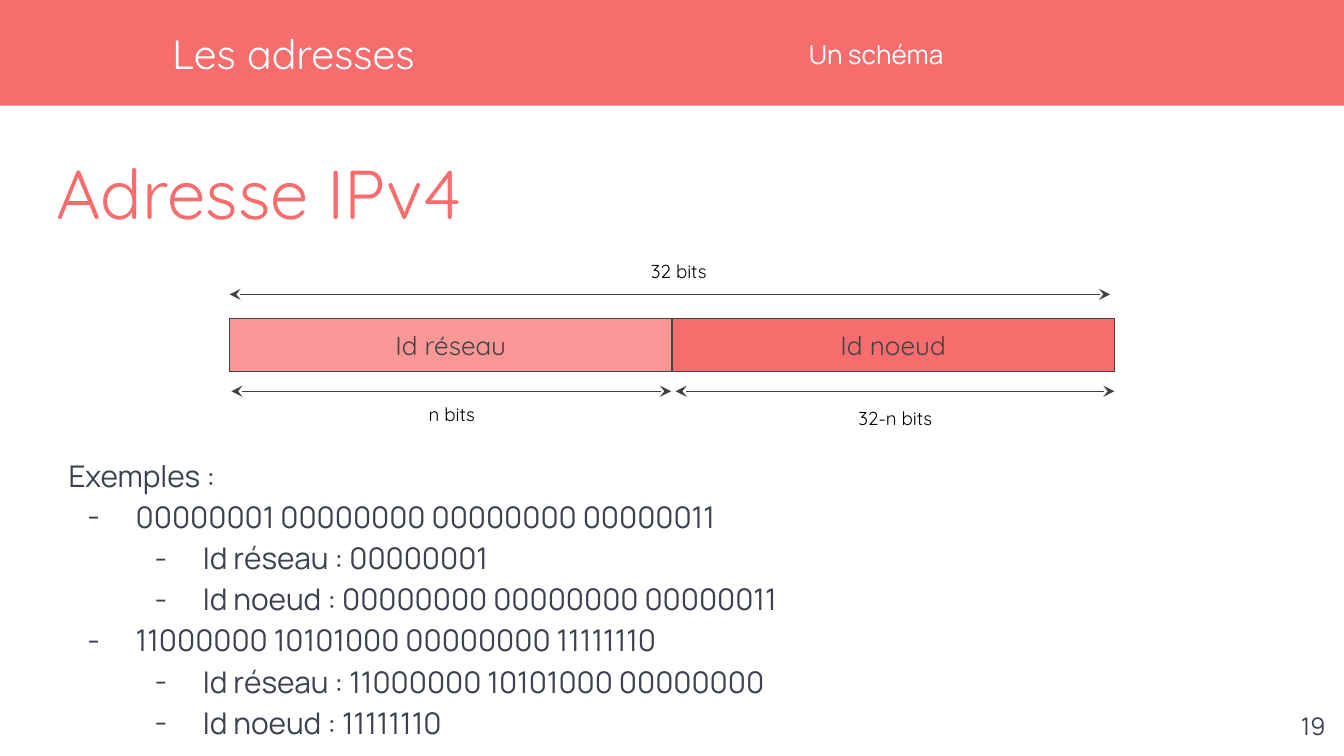
from dataclasses import dataclass

from lxml.etree import SubElement
from pptx import Presentation
from pptx.dml.color import RGBColor
from pptx.enum.shapes import MSO_CONNECTOR, MSO_SHAPE
from pptx.enum.text import MSO_ANCHOR, PP_ALIGN
from pptx.oxml.ns import qn
from pptx.slide import Slide
from pptx.text.text import TextFrame, _Paragraph
from pptx.util import Pt

COLORS = {
    "coral": "F76C6C",
    "light_coral": "F99797",
    "outline": "424242",
    "body": "3B424E",
    "white": "FFFFFF",
    "black": "000000",
}
HEADING_FONT = "Quicksand"
BODY_FONT = "Manrope"
PADDING = 7.2
INDENT_STEP = 36
HANGING = 25.9


@dataclass(frozen=True)
class Box:
    left: float
    top: float
    width: float
    height: float

    def lengths(self) -> tuple:
        return Pt(self.left), Pt(self.top), Pt(self.width), Pt(self.height)


@dataclass(frozen=True)
class Style:
    size: float
    font: str
    color: str
    align: PP_ALIGN = PP_ALIGN.LEFT
    anchor: MSO_ANCHOR = MSO_ANCHOR.TOP
    inset: float = 0


@dataclass(frozen=True)
class Label:
    text: str
    box: Box
    style: Style


@dataclass(frozen=True)
class Field:
    text: str
    box: Box
    fill: str


@dataclass(frozen=True)
class Span:
    start: float
    end: float
    y: float


@dataclass(frozen=True)
class Example:
    text: str
    depth: int


CAPTION = Style(10, HEADING_FONT, "black", PP_ALIGN.CENTER, inset=PADDING)
FIELD = Style(14, HEADING_FONT, "outline", PP_ALIGN.CENTER, MSO_ANCHOR.MIDDLE, PADDING)
EXAMPLE = Style(16, BODY_FONT, "body", anchor=MSO_ANCHOR.MIDDLE)

FIELD_LEFT, FIELD_TOP, FIELD_WIDTH, FIELD_HEIGHT = 123, 170.7, 237, 28.4
CAPTION_WIDTH, CAPTION_HEIGHT = 134, 26.6

FIELDS = [
    Field(text, Box(FIELD_LEFT + order * FIELD_WIDTH, FIELD_TOP, FIELD_WIDTH, FIELD_HEIGHT), fill)
    for order, (text, fill) in enumerate(
        [("Id réseau", "light_coral"), ("Id noeud", "coral")]
    )
]

SPANS = [
    Span(123, 594.7, 157.7),
    Span(124, 359.5, 209.6),
    Span(362, 597, 209.6),
]

LABELS = [
    Label("Un schéma", Box(433.3, 15.2, 276.5, 28),
          Style(14, BODY_FONT, "white", anchor=MSO_ANCHOR.MIDDLE)),
    Label("Adresse IPv4", Box(30.2, 80.7, 666.7, 41.8), Style(37, HEADING_FONT, "coral")),
    Label("19", Box(673.9, 373.7, 43.2, 31),
          Style(13, BODY_FONT, "body", PP_ALIGN.RIGHT, inset=PADDING)),
    Label("32 bits", Box(296.6, 133.2, CAPTION_WIDTH, CAPTION_HEIGHT), CAPTION),
    Label("n bits", Box(175, 209.6, CAPTION_WIDTH, CAPTION_HEIGHT), CAPTION),
    Label("32-n bits", Box(412.6, 211.7, CAPTION_WIDTH, CAPTION_HEIGHT), CAPTION),
    Label("Les adresses", Box(92.2, 0, 337.7, 56.9),
          Style(22, HEADING_FONT, "white", anchor=MSO_ANCHOR.MIDDLE)),
]

EXAMPLES = [
    Example("Exemples :", 0),
    Example("00000001 00000000 00000000 00000011", 1),
    Example("Id réseau : 00000001", 2),
    Example("Id noeud : 00000000 00000000 00000011", 2),
    Example("11000000 10101000 00000000 11111110", 1),
    Example("Id réseau : 11000000 10101000 00000000", 2),
    Example("Id noeud : 11111110", 2),
]


def rgb(name: str) -> RGBColor:
    return RGBColor.from_string(COLORS[name])


def prepare_frame(frame: TextFrame, style: Style) -> None:
    frame.word_wrap = True
    frame.vertical_anchor = style.anchor
    frame.margin_left = frame.margin_right = Pt(style.inset)
    frame.margin_top = frame.margin_bottom = Pt(style.inset)


def write(paragraph: _Paragraph, text: str, style: Style) -> None:
    paragraph.alignment = style.align
    run = paragraph.add_run()
    run.text = text
    run.font.size = Pt(style.size)
    run.font.name = style.font
    run.font.color.rgb = rgb(style.color)


def draw_rectangle(slide: Slide, box: Box, fill: str, outline: str | None = None) -> TextFrame:
    rectangle = slide.shapes.add_shape(MSO_SHAPE.RECTANGLE, *box.lengths())
    rectangle.shadow.inherit = False
    rectangle.fill.solid()
    rectangle.fill.fore_color.rgb = rgb(fill)
    if outline:
        rectangle.line.color.rgb = rgb(outline)
        rectangle.line.width = Pt(0.75)
    else:
        rectangle.line.fill.background()
    return rectangle.text_frame


def draw_field(slide: Slide, field: Field) -> None:
    frame = draw_rectangle(slide, field.box, field.fill, "outline")
    prepare_frame(frame, FIELD)
    write(frame.paragraphs[0], field.text, FIELD)


def draw_label(slide: Slide, label: Label) -> None:
    frame = slide.shapes.add_textbox(*label.box.lengths()).text_frame
    prepare_frame(frame, label.style)
    write(frame.paragraphs[0], label.text, label.style)


def draw_span(slide: Slide, span: Span) -> None:
    arrow = slide.shapes.add_connector(
        MSO_CONNECTOR.STRAIGHT, Pt(span.start), Pt(span.y), Pt(span.end), Pt(span.y)
    )
    arrow.line.color.rgb = rgb("outline")
    arrow.line.width = Pt(0.75)
    properties = arrow._element.spPr
    outline = properties.find(qn("a:ln"))
    for end in ("a:headEnd", "a:tailEnd"):
        SubElement(outline, qn(end), type="stealth")
    SubElement(properties, qn("a:effectLst"))


def add_dash(paragraph: _Paragraph, depth: int) -> None:
    properties = paragraph._p.get_or_add_pPr()
    properties.set("marL", str(Pt(depth * INDENT_STEP)))
    properties.set("indent", str(-Pt(HANGING)))
    bullet_color = SubElement(properties, qn("a:buClr"))
    SubElement(bullet_color, qn("a:srgbClr"), val=COLORS["body"])
    SubElement(properties, qn("a:buFont"), typeface=BODY_FONT)
    SubElement(properties, qn("a:buChar"), char="-")


def draw_examples(slide: Slide, box: Box, examples: list[Example]) -> None:
    frame = slide.shapes.add_textbox(*box.lengths()).text_frame
    prepare_frame(frame, EXAMPLE)
    for order, example in enumerate(examples):
        paragraph = frame.add_paragraph() if order else frame.paragraphs[0]
        paragraph.line_spacing = 1.15
        write(paragraph, example.text, EXAMPLE)
        if example.depth:
            paragraph.level = example.depth - 1
            add_dash(paragraph, example.depth)


def main() -> None:
    presentation = Presentation()
    presentation.slide_width, presentation.slide_height = Pt(720), Pt(405)
    slide = presentation.slides.add_slide(presentation.slide_layouts[6])
    draw_rectangle(slide, Box(-1.4, 0, 722.8, 56.6), "coral")
    for field in FIELDS:
        draw_field(slide, field)
    for span in SPANS:
        draw_span(slide, span)
    for label in LABELS:
        draw_label(slide, label)
    draw_examples(slide, Box(36.7, 247, 654.5, 144.7), EXAMPLES)
    presentation.save("out.pptx")


if __name__ == "__main__":
    main()
